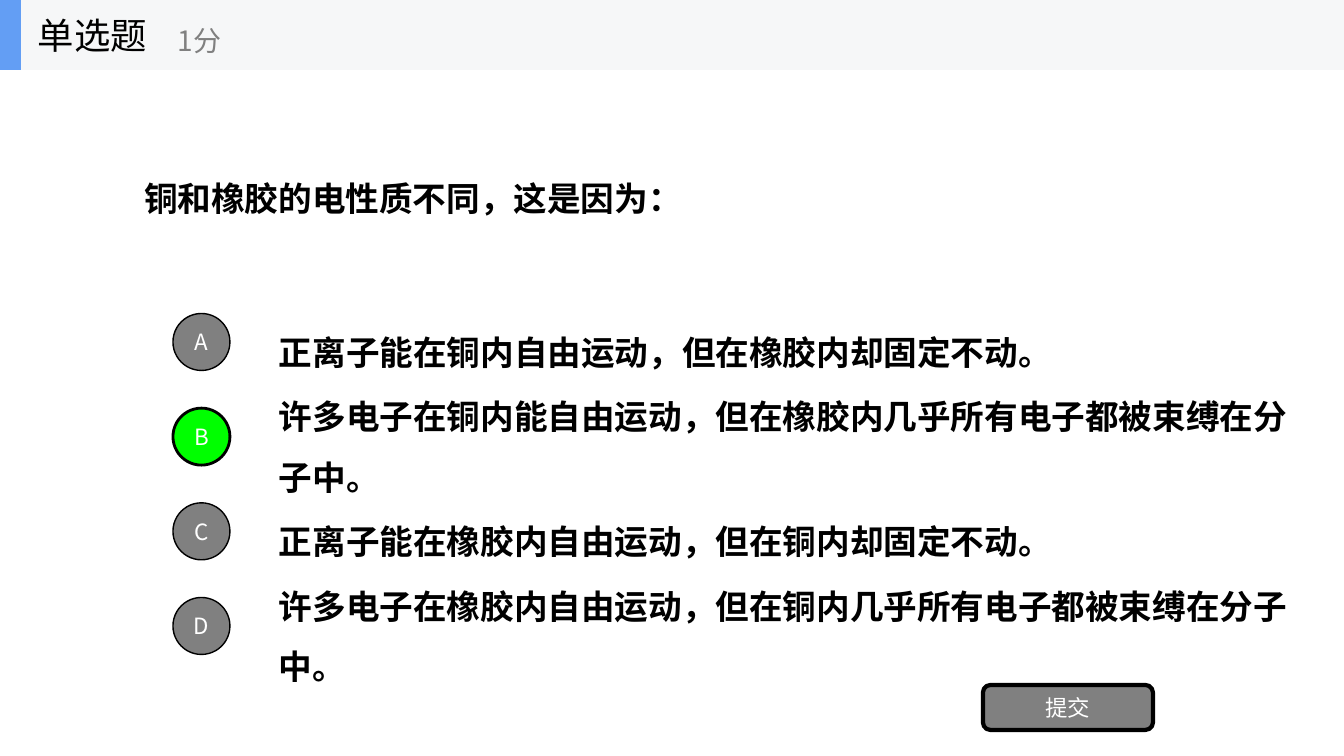
"""Build a single-choice quiz slide about copper and rubber."""
from lxml.etree import SubElement
from pptx import Presentation
from pptx.dml.color import RGBColor
from pptx.enum.lang import MSO_LANGUAGE_ID as Lang
from pptx.enum.shapes import MSO_SHAPE as Shape
from pptx.enum.text import MSO_ANCHOR as Anchor, MSO_AUTO_SIZE as AutoSize, PP_ALIGN as Align
from pptx.oxml.ns import qn
from pptx.util import Pt

QUESTION = "铜和橡胶的电性质不同，这是因为："
OPTIONS = [
    ("A", "正离子能在铜内自由运动，但在橡胶内却固定不动。", 941),
    ("B", "许多电子在铜内能自由运动，但在橡胶内几乎所有电子都被束缚在分子中。", 1028),
    ("C", "正离子能在橡胶内自由运动，但在铜内却固定不动。", 941),
    ("D", "许多电子在橡胶内自由运动，但在铜内几乎所有电子都被束缚在分子中。", 1061),
]
ANSWER = "B"
SUBMIT = "提交"
HEADER = [
    ("单选题", 26, "black", (28, 0, 210, 70)),
    ("1分", 20, "gray", (168, 12, 252, 56)),
]
COLORS = {
    "black": "000000", "white": "FFFFFF", "gray": "808080",
    "green": "00FF00", "band": "F6F7F8", "accent": "639EF4",
}
LATIN, CJK = "Arial", "Noto Sans CJK SC"
PX_PER_INCH = 100.8
SLIDE_WIDTH, SLIDE_HEIGHT, BAND_HEIGHT = 1344, 756, 70
OPTION_TOP, OPTION_LAST_TOP, OPTION_LEFT, OPTION_HEIGHT = 307, 591, 269, 70
BADGE_LEFT, BADGE_SIZE = 173, 57


def px(length):
    return round(length * 914400 / PX_PER_INCH)


def rgb(name):
    return RGBColor.from_string(COLORS[name])


def write(shape, text, size, color, font=CJK, bold=False, align=Align.LEFT, spacing=1.0):
    frame = shape.text_frame
    frame.auto_size = AutoSize.NONE
    frame.word_wrap = True
    frame.vertical_anchor = Anchor.MIDDLE
    paragraph = frame.paragraphs[0]
    paragraph.alignment = align
    paragraph.line_spacing = spacing
    run = paragraph.add_run()
    run.text = text
    run.font.size = Pt(size)
    run.font.bold = bold
    run.font.color.rgb = rgb(color)
    run.font.name = font
    run.font.language_id = Lang.SIMPLIFIED_CHINESE
    SubElement(run.font._element, qn("a:ea")).set("typeface", CJK)


def add_shape(parent, kind, box, fill, line_width=0):
    shape = parent.add_shape(kind, *map(px, box))
    shape.shadow.inherit = False
    shape.fill.solid()
    shape.fill.fore_color.rgb = rgb(fill)
    if line_width:
        shape.line.color.rgb = rgb("black")
        shape.line.width = Pt(line_width)
    else:
        shape.line.fill.background()
    return shape


def add_button(parent, kind, box, fill, line_width, label):
    button = add_shape(parent, kind, box, fill, line_width)
    frame = button.text_frame
    frame.margin_left = frame.margin_right = frame.margin_top = frame.margin_bottom = 0
    write(button, label, 16, "white", align=Align.CENTER)


def main():
    deck = Presentation()
    deck.slide_width, deck.slide_height = px(SLIDE_WIDTH), px(SLIDE_HEIGHT)
    slide = deck.slides.add_slide(deck.slide_layouts[5])
    shapes = slide.shapes

    question = shapes.title
    question.left, question.top, question.width, question.height = map(px, (134, 70, 1076, 236))
    write(question, QUESTION, 24, "black", LATIN, bold=True, spacing=1.5)

    pitch = (OPTION_LAST_TOP - OPTION_TOP) / (len(OPTIONS) - 1)
    for index, (letter, statement, width) in enumerate(OPTIONS):
        top = OPTION_TOP + index * pitch
        option = shapes.add_textbox(*map(px, (OPTION_LEFT, top, width, OPTION_HEIGHT)))
        write(option, statement, 24, "black", LATIN, bold=True, spacing=1.5)
        badge_top = top + (OPTION_HEIGHT - BADGE_SIZE) / 2
        fill, line_width = ("green", 2) if letter == ANSWER else ("gray", 1)
        add_button(shapes, Shape.OVAL, (BADGE_LEFT, badge_top, BADGE_SIZE, BADGE_SIZE),
                   fill, line_width, letter)

    add_button(shapes, Shape.ROUNDED_RECTANGLE, (983, 685, 170, 45), "gray", 3, SUBMIT)

    header = shapes.add_group_shape().shapes
    add_shape(header, Shape.RECTANGLE, (0, 0, SLIDE_WIDTH, BAND_HEIGHT), "band")
    add_shape(header, Shape.RECTANGLE, (0, 0, 21, BAND_HEIGHT), "accent")
    for text, size, color, box in HEADER:
        write(header.add_textbox(*map(px, box)), text, size, color)

    deck.save("out.pptx")


if __name__ == "__main__":
    main()
